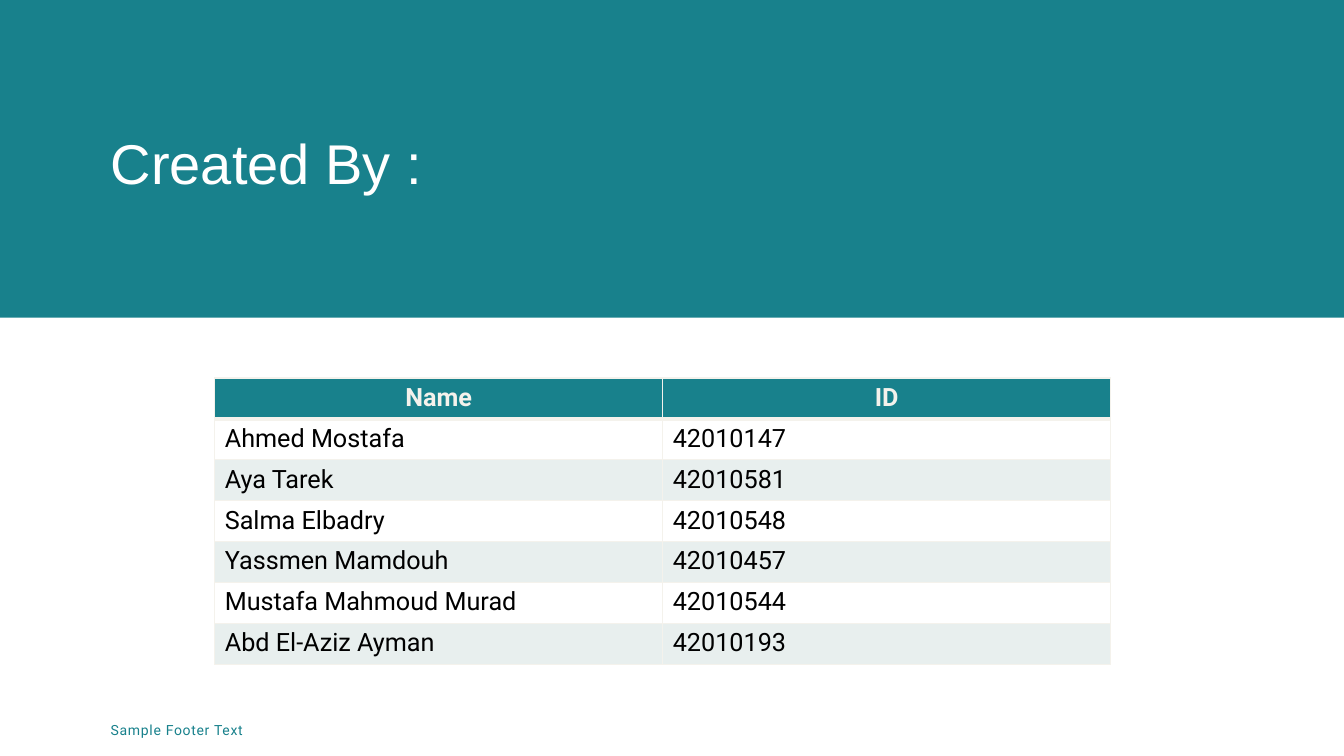
import pptx
import pptx.util
import pptx.dml.color
import pptx.enum.shapes
import pptx.enum.text
import lxml.etree

Pt = pptx.util.Pt
TITLE = "Created By :"
FOOTER = "Sample Footer Text"
ROWS = [
    ("Name", "ID"),
    ("Ahmed Mostafa", "42010147"),
    ("Aya Tarek", "42010581"),
    ("Salma Elbadry", "42010548"),
    ("Yassmen Mamdouh", "42010457"),
    ("Mustafa Mahmoud Murad", "42010544"),
    ("Abd El-Aziz Ayman", "42010193"),
]
COLORS = {"teal": "18818C", "white": "FFFFFF", "cream": "F4F2EC",
          "mist": "E8EFEE", "black": "000000"}
WIDTH, HEIGHT = 960, 540
BAND_TOP = 226.8
LEFT = 72
GRID = (153.4, 270, 640, 204.4)


def color(name):
    return pptx.dml.color.RGBColor.from_string(COLORS[name])


def paint(fill, name):
    fill.solid()
    fill.fore_color.rgb = color(name)


def style(para, face, size, name, bold=False):
    font = para.font
    font.name, font.size, font.bold = face, Pt(size), bold
    font.color.rgb = color(name)


def border(cell, widths):
    props = cell._tc.get_or_add_tcPr()
    space = pptx.oxml.ns.nsdecls("a")
    for side, width in zip("LRTB", widths):
        props.append(pptx.oxml.parse_xml(
            f'<a:ln{side} {space} w="{Pt(width)}"><a:solidFill>'
            f'<a:srgbClr val="{COLORS["cream"]}"/></a:solidFill></a:ln{side}>'))


def add_grid(slide):
    x, y, w, h = GRID
    frame = slide.shapes.add_table(len(ROWS), 2, Pt(x), Pt(y), Pt(w), Pt(h))
    table = frame.table
    for col in table.columns:
        col.width = Pt(w / 2)
    for i, row in enumerate(ROWS):
        table.rows[i].height = Pt(h / len(ROWS))
        head = i == 0
        back = "teal" if head else ("white" if i % 2 else "mist")
        for j, text in enumerate(row):
            cell = table.cell(i, j)
            cell.text = text
            border(cell, (1, 1, 3 if i == 1 else 1, 3 if head else 1))
            paint(cell.fill, back)
            para = cell.text_frame.paragraphs[0]
            style(para, "Roboto", 18, "cream" if head else "black", head)
            if head:
                para.alignment = pptx.enum.text.PP_ALIGN.CENTER


def main():
    deck = pptx.Presentation()
    deck.slide_width, deck.slide_height = Pt(WIDTH), Pt(HEIGHT)
    slide = deck.slides.add_slide(deck.slide_layouts[5])
    paint(slide.background.fill, "teal")
    middle = pptx.enum.text.MSO_ANCHOR.MIDDLE

    title = slide.shapes.title
    title.left, title.top = Pt(LEFT), Pt(41)
    title.width, title.height = Pt(425), Pt(155)
    title.text_frame.text = TITLE
    title.text_frame.vertical_anchor = middle
    para = title.text_frame.paragraphs[0]
    para.alignment = pptx.enum.text.PP_ALIGN.LEFT
    para.line_spacing = 0.9
    style(para, "Arial", 40, "white")

    panel = slide.shapes.add_shape(
        pptx.enum.shapes.MSO_SHAPE.RECTANGLE,
        0, Pt(BAND_TOP), Pt(WIDTH), Pt(HEIGHT - BAND_TOP))
    panel.shadow.inherit = False
    paint(panel.fill, "white")
    panel.line.fill.background()

    footer = slide.shapes.add_textbox(Pt(LEFT), Pt(507), Pt(270), Pt(28.8))
    frame = footer.text_frame
    frame.word_wrap = True
    frame.vertical_anchor = middle
    frame.text = FOOTER
    para = frame.paragraphs[0]
    style(para, "Roboto", 10, "teal")
    para.runs[0]._r.get_or_add_rPr().set("spc", "50")

    add_grid(slide)
    deck.save("out.pptx")


if __name__ == "__main__":
    main()
